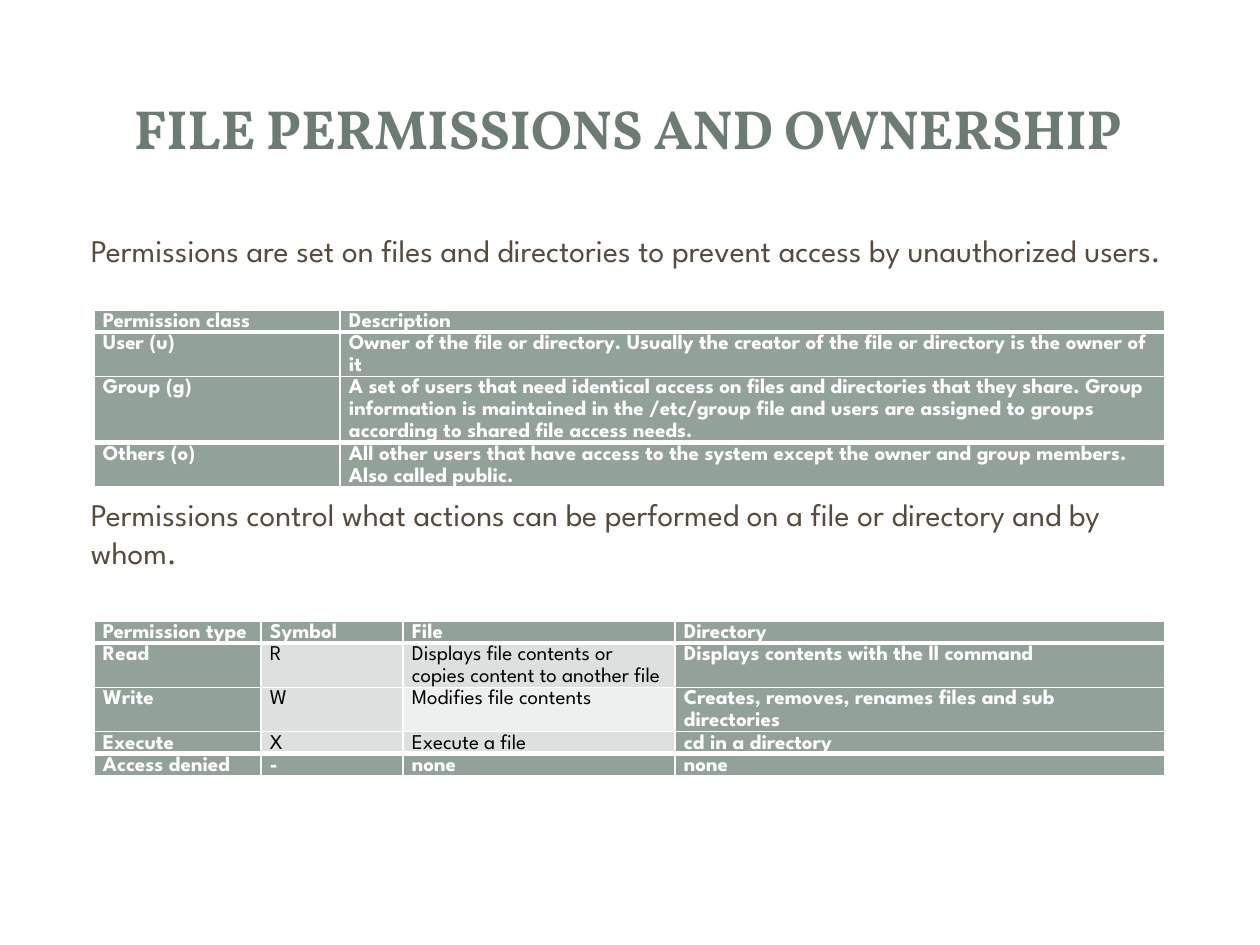
from lxml import etree
from pptx import Presentation
from pptx.dml.color import RGBColor
from pptx.enum.shapes import MSO_SHAPE
from pptx.enum.text import MSO_ANCHOR, PP_ALIGN
from pptx.oxml.ns import qn
from pptx.util import Emu, Pt

SCALE = 914400 / 126
WHITE = RGBColor(0xFF, 0xFF, 0xFF)
BLACK = RGBColor(0x00, 0x00, 0x00)
GREEN = RGBColor(0x6B, 0x7D, 0x72)
SAGE = RGBColor(0x93, 0xA2, 0x99)
MIST = RGBColor(0xDC, 0xE0, 0xDE)
PALE = RGBColor(0xEE, 0xF0, 0xEF)
BROWN = RGBColor(0x56, 0x4B, 0x3C)
CENTER, LEFT = PP_ALIGN.CENTER, PP_ALIGN.LEFT
MIDDLE = MSO_ANCHOR.MIDDLE
RECT, ROUND_RECT = MSO_SHAPE.RECTANGLE, MSO_SHAPE.ROUNDED_RECTANGLE

ROW_HEIGHT = 22
CLASSES = [
    ["Permission class", "Description"],
    ["User (u)", "Owner of the file or directory. Usually the creator of the file "
                 "or directory is the owner of it"],
    ["Group (g)", "A set of users that need identical access on files and directories "
                  "that they share. Group information is maintained in the /etc/group "
                  "file and users are assigned to groups according to shared file "
                  "access needs."],
    ["Others (o)", "All other users that have access to the system except the owner "
                   "and group members. Also called public."],
]
TYPES = [
    ["Permission type", "Symbol", "File", "Directory"],
    ["Read", "R", "Displays file contents or copies content to another file",
     "Displays contents with the ll command"],
    ["Write", "W", "Modifies file contents",
     "Creates, removes, renames files and sub directories"],
    ["Execute", "X", "Execute a file", "cd in a directory"],
    ["Access denied", "-", "none", "none"],
]
LIGHT_CELLS = {(row, col): MIST for row in (1, 2, 3) for col in (1, 2)}
LIGHT_CELLS[2, 2] = PALE


def px(n):
    """Turn pixels into EMU."""
    return Emu(round(n * SCALE))


def write(p, text, size=12, color=WHITE, bold=False, font="League Spartan",
          align=LEFT, spacing=None, before=0):
    """Put one formatted run into a paragraph."""
    p.alignment = align
    p.line_spacing = spacing
    p.space_before = Pt(before)
    r = p.add_run()
    r.text = text
    r.font.size = Pt(size)
    r.font.name = font
    r.font.bold = bold
    r.font.color.rgb = color


def add_panel(s, kind, left, top, width, height, opacity=100):
    """Add a plain white panel behind the title."""
    sp = s.shapes.add_shape(kind, px(left), px(top), px(width), px(height))
    sp.shadow.inherit = False
    sp.fill.solid()
    sp.fill.fore_color.rgb = WHITE
    sp.line.fill.background()
    if opacity < 100:
        color = sp.fill._xPr.find(qn("a:solidFill"))[0]
        etree.SubElement(color, qn("a:alpha"), val=str(opacity * 1000))
    s.shapes.title._element.addprevious(sp._element)
    return sp


def add_title(s, text):
    """Place and format the title placeholder."""
    sp = s.shapes.title
    sp.left, sp.top, sp.width, sp.height = px(59), px(55), px(1138), px(144)
    tf = sp.text_frame
    tf.vertical_anchor = MIDDLE
    write(tf.paragraphs[0], text, size=31.5, color=GREEN, bold=True,
          font="Vollkorn", align=CENTER)


def add_body(s, paragraphs):
    """Add the sentences, each with its space before in points."""
    tf = s.shapes.add_textbox(px(63), px(225), px(1134), px(602)).text_frame
    tf.word_wrap = True
    tf.margin_left = px(28)
    for i, (text, before) in enumerate(paragraphs):
        p = tf.add_paragraph() if i else tf.paragraphs[0]
        write(p, text, size=18, color=BROWN, spacing=Pt(21.7), before=before)


def set_borders(cell, top, bottom):
    """Draw white cell borders with the given top and bottom widths."""
    tc_pr = cell._tc.get_or_add_tcPr()
    for tag, width in (("a:lnL", 1), ("a:lnR", 1), ("a:lnT", top), ("a:lnB", bottom)):
        ln = etree.SubElement(tc_pr, qn(tag), w=str(Pt(width)))
        fill = etree.SubElement(ln, qn("a:solidFill"))
        etree.SubElement(fill, qn("a:srgbClr"), val=str(WHITE))


def add_grid(s, top, widths, rows, light_cells):
    """Add a table with heavy rules below the first row and above the last."""
    last = len(rows) - 1
    table = s.shapes.add_table(len(rows), len(widths), px(94), px(top),
                               px(sum(widths)), px(ROW_HEIGHT * len(rows))).table
    table.first_row = table.horz_banding = False
    for column, width in zip(table.columns, widths):
        column.width = px(width)
    for i, row in enumerate(rows):
        for j, text in enumerate(row):
            cell = table.cell(i, j)
            cell.margin_left = cell.margin_right = px(9)
            cell.margin_top = cell.margin_bottom = 0
            set_borders(cell, 3 if i in (1, last) else 1,
                        3 if i in (0, last - 1) else 1)
            light = (i, j) in light_cells
            cell.fill.solid()
            cell.fill.fore_color.rgb = light_cells.get((i, j), SAGE)
            write(cell.text_frame.paragraphs[0], text, spacing=Pt(12.6),
                  color=BLACK if light else WHITE, bold=not light)


def main():
    """Build the slide and save it."""
    prs = Presentation()
    prs.slide_width, prs.slide_height = px(1260), px(945)
    s = prs.slides.add_slide(prs.slide_layouts[5])
    frame = add_panel(s, ROUND_RECT, 13, 14, 1235, 932)
    frame.adjustments[0] = 0.02
    add_panel(s, RECT, 38, 38, 1184, 183, opacity=83)
    add_panel(s, RECT, 52, 52, 1155, 154)
    add_title(s, "FILE PERMISSIONS AND OWNERSHIP")
    add_body(s, [
        ("Permissions are set on files and directories to prevent access by "
         "unauthorized users.", 3.6),
        ("Permissions control what actions can be performed on a file or "
         "directory and by whom.", 129),
    ])
    add_grid(s, 310, [246, 825], CLASSES, {})
    add_grid(s, 621, [167, 142, 272, 490], TYPES, LIGHT_CELLS)
    prs.save("out.pptx")


if __name__ == "__main__":
    main()
